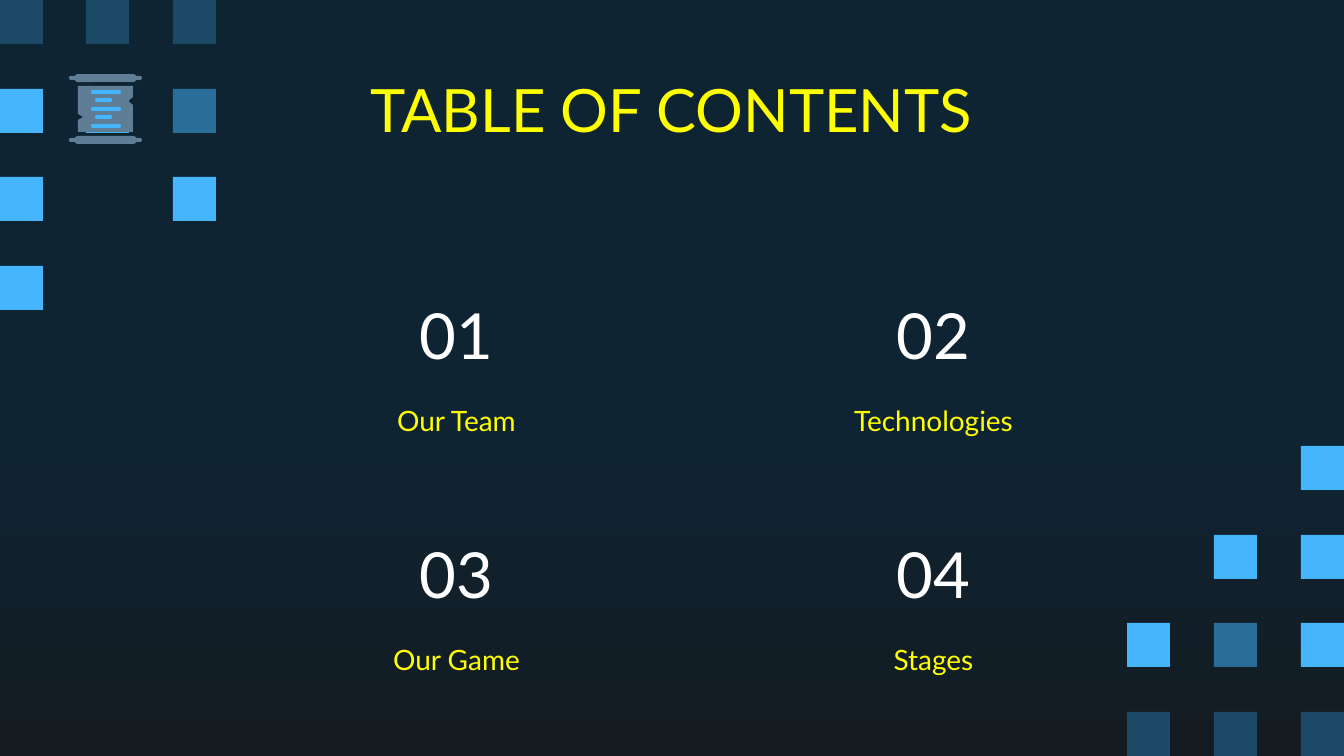
from pptx import Presentation
from pptx.dml.color import RGBColor
from pptx.enum.shapes import MSO_SHAPE
from pptx.enum.text import MSO_ANCHOR, PP_ALIGN
from pptx.util import Pt

PX = 914400 / 134.4

NIGHT = RGBColor(0x0E, 0x24, 0x33)
COAL = RGBColor(0x14, 0x1C, 0x21)
BRIGHT = RGBColor(0x45, 0xB6, 0xFE)
MID = RGBColor(0x29, 0x6D, 0x98)
DEEP = RGBColor(0x1C, 0x49, 0x66)
SLATE = RGBColor(0x5F, 0x7D, 0x95)
WHITE = RGBColor(0xFF, 0xFF, 0xFF)
YELLOW = RGBColor(0xFF, 0xFF, 0x00)

TONES = {"b": BRIGHT, "m": MID, "d": DEEP}
TOPICS = ["Our Team", "Technologies", "Our Game", "Stages"]


def emu(*sizes):
    return [round(size * PX) for size in sizes]


def paint(shape, color):
    shape.shadow.inherit = False
    shape.fill.solid()
    shape.fill.fore_color.rgb = color
    shape.line.fill.background()


def add_block(slide, box, color, kind=MSO_SHAPE.RECTANGLE):
    shape = slide.shapes.add_shape(kind, *emu(*box))
    paint(shape, color)
    return shape


def add_pill(slide, box, color):
    shape = add_block(slide, box, color, MSO_SHAPE.ROUNDED_RECTANGLE)
    shape.adjustments[0] = 0.5


def add_text(slide, box, text, size, color):
    frame = slide.shapes.add_textbox(*emu(*box)).text_frame
    frame.word_wrap = True
    frame.vertical_anchor = MSO_ANCHOR.MIDDLE
    frame.margin_left, frame.margin_right = emu(13, 13)
    frame.margin_top, frame.margin_bottom = emu(13, 13)
    line = frame.paragraphs[0]
    line.text = text
    line.alignment = PP_ALIGN.CENTER
    line.font.name = "Lato"
    line.font.size = Pt(size)
    line.font.color.rgb = color


def add_backdrop(slide):
    fill = slide.background.fill
    fill.gradient()
    fill.gradient_angle = 270
    for stop, color, place in zip(fill.gradient_stops, (NIGHT, COAL), (0.56, 1)):
        stop.color.rgb = color
        stop.position = place


def add_mosaic(slide, left, top, width, height, rows):
    """Fill the box with squares; each letter names a tone, a dot a gap."""
    side, tall = 43, 44
    for r, row in enumerate(rows):
        y = top + round(r * (height - tall) / (len(rows) - 1))
        for c, tone in enumerate(row):
            x = left + round(c * (width - side) / (len(row) - 1))
            if tone in TONES:
                add_block(slide, (x, y, side, tall), TONES[tone])


def add_scroll(slide, left, top, width, height):
    notched = [(9, 12), (64, 12), (64, 23), (59, 27), (64, 31),
               (64, 58), (9, 58), (9, 46), (14, 43), (9, 40)]
    points = [(left + x, top + y) for x, y in notched]
    sheet = slide.shapes.build_freeform(*points[0], scale=PX)
    sheet.add_line_segments(points[1:], close=True)
    paint(sheet.convert_to_shape(), SLATE)
    for y in (top, top + height - 8):
        add_pill(slide, (left, y + 2, width, 4), SLATE)
        add_pill(slide, (left + 5, y, width - 10, 8), SLATE)
    for i in range(5):
        inset, long = (26, 17) if i % 2 else (22, 30)
        add_pill(slide, (left + inset, top + 16 + 17 * i // 2, long, 4), BRIGHT)


def add_topics(slide, left, top, width, height):
    wide, gap_x, gap_y = 435, width - 435, height - 154
    for i, topic in enumerate(TOPICS):
        row, col = divmod(i, 2)
        x, y = left + col * gap_x, top + row * gap_y
        add_text(slide, (x, y, wide, 77), f"{i + 1:02}", 34, WHITE)
        add_text(slide, (x, y + 95, wide, 59), topic, 15, YELLOW)


def main():
    deck = Presentation()
    deck.slide_width, deck.slide_height = emu(1344, 756)
    slide = deck.slides.add_slide(deck.slide_layouts[6])
    add_backdrop(slide)
    add_mosaic(slide, 0, 0, 216, 310, ["ddd", "bbm", "b.b", "b.."])
    add_mosaic(slide, 1127, 446, 217, 310, ["..b", ".bb", "bmb", "ddd"])
    add_text(slide, (105, 85, 1133, 48), "TABLE OF CONTENTS", 32, YELLOW)
    add_topics(slide, 239, 296, 912, 393)
    add_scroll(slide, 69, 74, 73, 70)
    deck.save("out.pptx")


if __name__ == "__main__":
    main()
